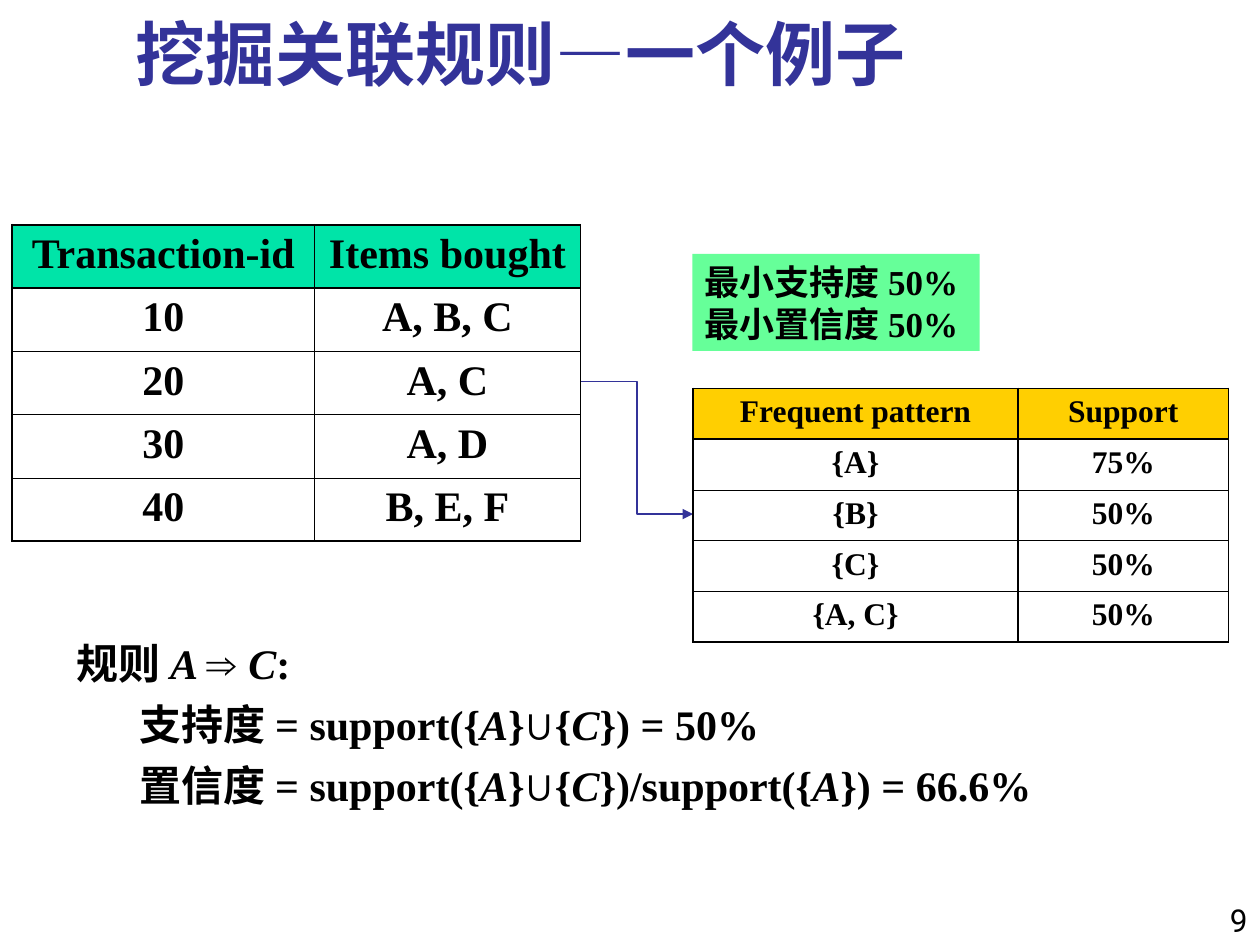
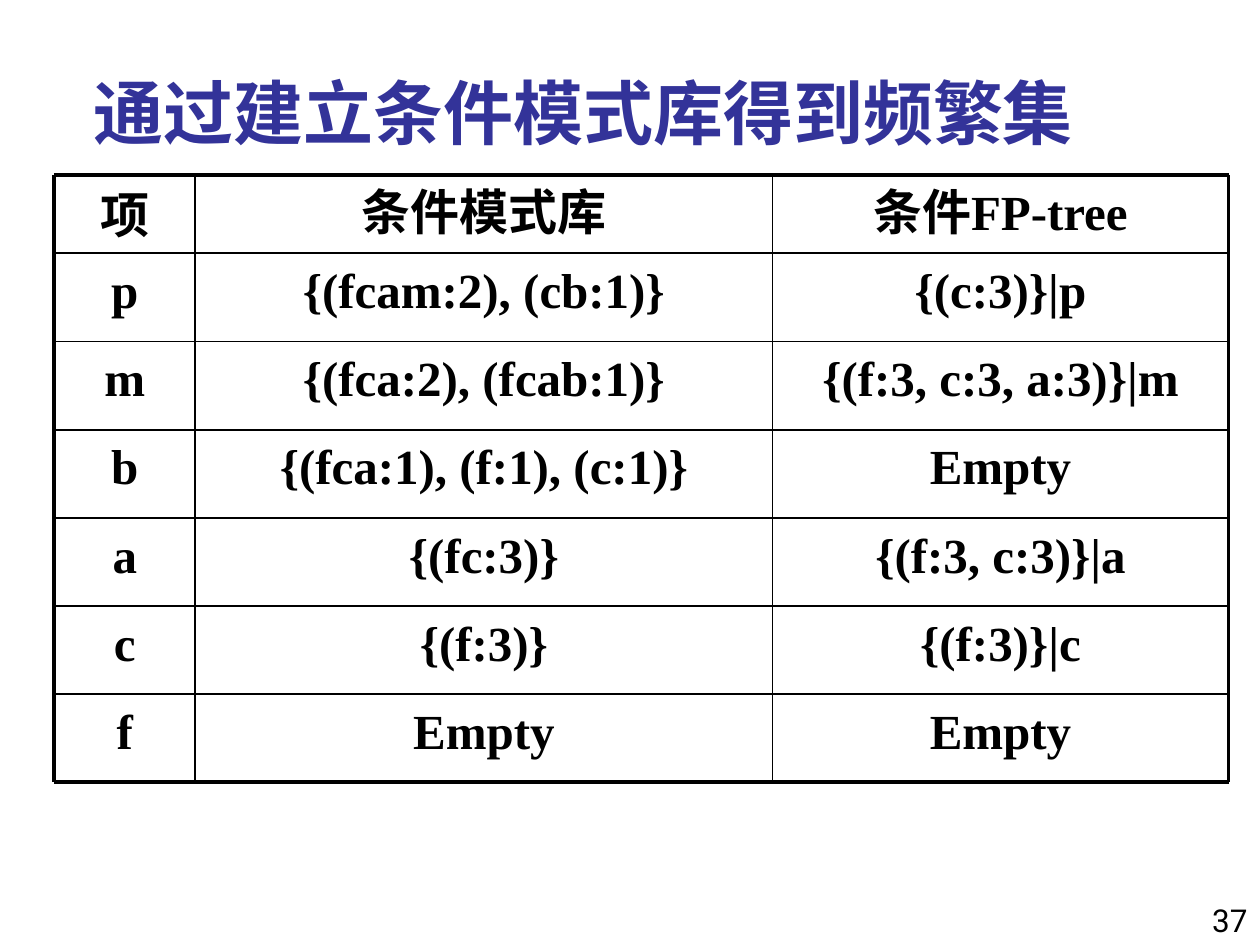
"""Build two slides on association rules and conditional pattern bases."""
import itertools

import pptx
import pptx.dml.color
import pptx.enum.shapes
import pptx.enum.text
import pptx.oxml
import pptx.oxml.ns
import pptx.util

NAVY = pptx.dml.color.RGBColor(0x33, 0x33, 0x99)
BLACK = pptx.dml.color.RGBColor(0, 0, 0)
MINT = pptx.dml.color.RGBColor(0x66, 0xFF, 0x99)
TEAL = pptx.dml.color.RGBColor(0x00, 0xE4, 0xA8)
GOLD = pptx.dml.color.RGBColor(0xFF, 0xCF, 0x01)
SERIF = "Times New Roman"
THIN, RULE = 0.45, 1.08
ALIGN = pptx.enum.text.PP_ALIGN
ANCHOR = pptx.enum.text.MSO_ANCHOR
CONNECTOR = pptx.enum.shapes.MSO_CONNECTOR
NS = pptx.oxml.ns.nsdecls("a")

prs = pptx.Presentation()
prs.slide_width = pptx.util.Inches(10)
prs.slide_height = pptx.util.Inches(7.5)
COL = prs.slide_width // 1000
ROW = prs.slide_height // 750


def write(tf, text, size, font=SERIF, color=BLACK, bold=True, align=ALIGN.LEFT,
          anchor=ANCHOR.TOP, before=0, wrap=True, indents=()):
    """Fill a text frame; *stars* mark italics, ^carets^ Arial, indents (left, first)."""
    tf.word_wrap = wrap
    tf.vertical_anchor = anchor
    for i, line in enumerate(text.split("\n")):
        p = tf.add_paragraph() if i else tf.paragraphs[0]
        p.alignment = align
        p.space_before = pptx.util.Pt(before)
        if indents:
            left, first = indents[i]
            p._p.get_or_add_pPr().set("marL", str(left * COL))
            p._p.get_or_add_pPr().set("indent", str(first * COL))
        for j, part in enumerate(line.split("*")):
            for k, piece in enumerate(part.split("^")):
                if piece:
                    r = p.add_run()
                    r.text = piece
                    r.font.size = pptx.util.Pt(size)
                    r.font.name = "Arial" if k % 2 else font
                    r.font.bold = bold
                    r.font.italic = j % 2 == 1
                    r.font.color.rgb = color


def add_line(s, kind, x1, y1, x2, y2, color, weight):
    """Add a connector without a shadow between two grid points."""
    cx = s.shapes.add_connector(kind, x1 * COL, y1 * ROW, x2 * COL, y2 * ROW)
    cx.line.color.rgb = color
    cx.line.width = pptx.util.Pt(weight)
    cx._element.spPr.append(pptx.oxml.parse_xml(f"<a:effectLst {NS}/>"))
    return cx


slides = [
    ("挖掘关联规则—一个例子", (98, 5, 808, 75), "9",
     {"font": SERIF, "anchor": ANCHOR.BOTTOM}),
    ("通过建立条件模式库得到频繁集", (17, 50, 892, 77), "37",
     {"font": "Arial", "align": ALIGN.CENTER, "before": 10}),
]
for title, (x, y, w, h), number, style in slides:
    s = prs.slides.add_slide(prs.slide_layouts[6])
    sp = s.shapes.add_textbox(x * COL, y * ROW, w * COL, h * ROW)
    write(sp.text_frame, title, 40, color=NAVY, **style)
    sp = s.shapes.add_textbox(792 * COL, 708 * ROW, 208 * COL, 42 * ROW)
    write(sp.text_frame, number, 18, font="Roboto", bold=False, align=ALIGN.RIGHT,
          anchor=ANCHOR.BOTTOM)
rules, patterns = prs.slides

sp = rules.shapes.add_textbox(51 * COL, 501 * ROW, 896 * COL, 182 * ROW)
write(sp.text_frame,
      "规则 *A *^⇒ ^*C*:\n"
      "支持度 = support({*A*}^∪^{*C*}) = 50%\n"
      "置信度 = support({*A*}^∪^{*C*})/support({*A*}) = 66.6%",
      24, before=6, indents=[(38, -38), (81, -31), (81, -31)])

sp = rules.shapes.add_shape(pptx.enum.shapes.MSO_SHAPE.RECTANGLE,
                            int(549.5 * COL), int(201.5 * ROW), 228 * COL, 77 * ROW)
sp.shadow.inherit = False
sp.fill.solid()
sp.fill.fore_color.rgb = MINT
sp.line.fill.background()
write(sp.text_frame, "最小支持度 50%\n最小置信度 50%", 20, anchor=ANCHOR.MIDDLE, wrap=False)

cx = add_line(rules, CONNECTOR.ELBOW, 461, 303, 550, 408, NAVY, 0.75)
cx.line._get_or_add_ln().append(pptx.oxml.parse_xml(f'<a:tailEnd {NS} type="triangle"/>'))

transactions = [("Transaction-id", "Items bought"), ("10", "A, B, C"), ("20", "A, C"),
                ("30", "A, D"), ("40", "B, E, F")]
supports = [("Frequent pattern", "Support"), ("{A}", "75%"), ("{B}", "50%"),
            ("{C}", "50%"), ("{A, C}", "50%")]
tables = [(transactions, 9.6, 178.4, (240, 211), 50.25, 24, TEAL),
          (supports, 550, 308.4, (258, 167), 40.25, 18, GOLD)]
for data, x, y, widths, height, size, fill in tables:
    last = len(data) - 1
    tbl = rules.shapes.add_table(len(data), len(widths), int(x * COL), int(y * ROW),
                                 sum(widths) * COL, int(height * len(data) * ROW)).table
    tbl.first_row = tbl.horz_banding = False
    for c, width in enumerate(widths):
        tbl.columns[c].width = width * COL
    for i, texts in enumerate(data):
        tbl.rows[i].height = int(height * ROW)
        for c, text in enumerate(texts):
            cell = tbl.cell(i, c)
            write(cell.text_frame, text, size, align=ALIGN.CENTER, before=size / 4)
            lines = {"L": RULE, "R": RULE, "T": RULE if i < 2 else THIN,
                     "B": RULE if i in (0, last) else THIN}
            for side, weight in lines.items():
                cell._tc.get_or_add_tcPr().append(pptx.oxml.parse_xml(
                    f'<a:ln{side} {NS} w="{pptx.util.Pt(weight)}">'
                    f'<a:solidFill><a:srgbClr val="{BLACK}"/></a:solidFill></a:ln{side}>'))
            if i == 0:
                cell.fill.solid()
                cell.fill.fore_color.rgb = fill
            else:
                cell.fill.background()

bases = [("项", "条件模式库", "条件FP-tree"),
         ("p", "{(fcam:2), (cb:1)}", "{(c:3)}|p"),
         ("m", "{(fca:2), (fcab:1)}", "{(f:3, c:3, a:3)}|m"),
         ("b", "{(fca:1), (f:1), (c:1)}", "Empty"),
         ("a", "{(fc:3)}", "{(f:3, c:3)}|a"),
         ("c", "{(f:3)}", "{(f:3)}|c"),
         ("f", "Empty", "Empty")]
xs = list(itertools.accumulate([43, 112, 458, 362]))
ys = list(itertools.accumulate([139, 62] + [70] * 6))
for i, texts in enumerate(bases):
    for c, text in enumerate(texts):
        sp = patterns.shapes.add_textbox(xs[c] * COL, ys[i] * ROW, (xs[c + 1] - xs[c]) * COL,
                                         (ys[i + 1] - ys[i]) * ROW)
        write(sp.text_frame, text, 28, align=ALIGN.CENTER, before=7,
              anchor=ANCHOR.MIDDLE if i == c == 0 else ANCHOR.TOP)
for y in ys:
    add_line(patterns, CONNECTOR.STRAIGHT, xs[0], y, xs[-1], y, BLACK,
             2.25 if y in (ys[0], ys[-1]) else 1)
for x in xs:
    add_line(patterns, CONNECTOR.STRAIGHT, x, ys[0], x, ys[-1], BLACK,
             2.25 if x in (xs[0], xs[-1]) else 1)

prs.save("out.pptx")
